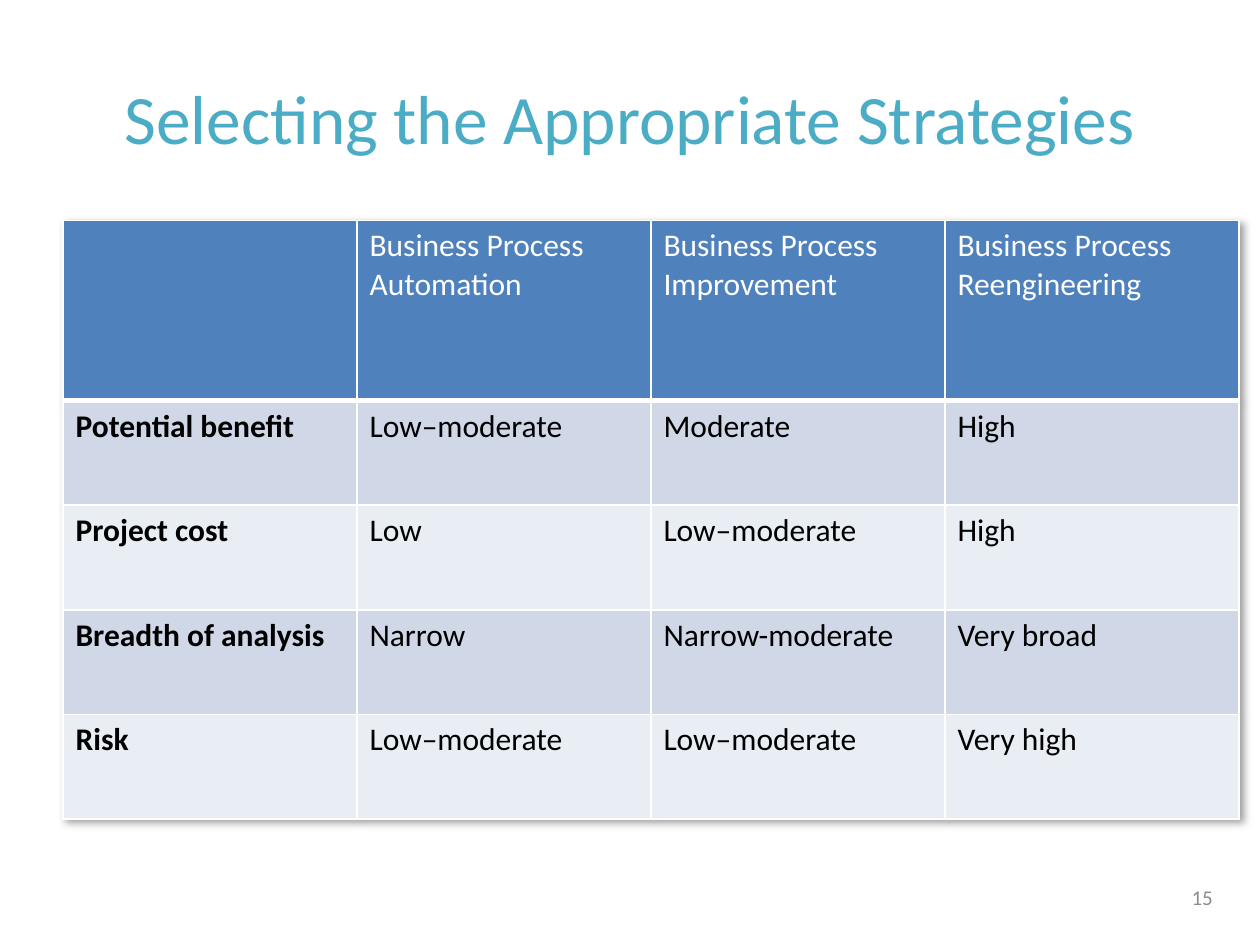
from dataclasses import dataclass

from lxml.etree import SubElement
from pptx import Presentation
from pptx.dml.color import RGBColor
from pptx.enum.text import MSO_ANCHOR, PP_ALIGN
from pptx.oxml import parse_xml
from pptx.oxml.ns import qn
from pptx.util import Pt

NS = "http://schemas.openxmlformats.org/drawingml/2006/main"
FONT = "Calibri"
WHITE, BLACK = "FFFFFF", "000000"
HEADER_FILL = "4F81BD"
BAND_FILLS = ("D0D8E8", "E9EDF4")
COL_WIDTH = Pt(168)
HEADER_HEIGHT, ROW_HEIGHT = Pt(103), Pt(59.75)
SHADOW = (
    f'<a:effectLst xmlns:a="{NS}"><a:outerShdw blurRad="50800" dist="38100" '
    'dir="2700000" algn="tl" rotWithShape="0"><a:srgbClr val="000000">'
    '<a:alpha val="40000"/></a:srgbClr></a:outerShdw></a:effectLst>'
)


@dataclass
class Row:
    label: str
    automation: str
    improvement: str
    reengineering: str

    def texts(self) -> tuple:
        return self.label, self.automation, self.improvement, self.reengineering


HEADER = Row("", "Business Process Automation", "Business Process Improvement",
             "Business Process Reengineering")
ROWS = [
    Row("Potential benefit", "Low–moderate", "Moderate", "High"),
    Row("Project cost", "Low", "Low–moderate", "High"),
    Row("Breadth of analysis", "Narrow", "Narrow-moderate", "Very broad"),
    Row("Risk", "Low–moderate", "Low–moderate", "Very high"),
]


def rgb(value: str) -> RGBColor:
    return RGBColor.from_string(value)


def write(tf, text: str, size: float, color: str, align=PP_ALIGN.LEFT, bold=False) -> None:
    p = tf.paragraphs[0]
    p.alignment = align
    r = p.add_run()
    r.text = text
    for name, value in {"name": FONT, "size": Pt(size), "bold": bold}.items():
        setattr(r.font, name, value)
    r.font.color.rgb = rgb(color)


def place(sp, left: float, top: float, width: float, height: float) -> None:
    box = {"left": left, "top": top, "width": width, "height": height}
    for name, value in box.items():
        setattr(sp, name, Pt(value))
    frame = {"word_wrap": True, "vertical_anchor": MSO_ANCHOR.MIDDLE}
    for name, value in frame.items():
        setattr(sp.text_frame, name, value)


def set_borders(cell, bottom: float) -> None:
    tc_pr = cell._tc.get_or_add_tcPr()
    widths = {"lnL": 1, "lnR": 1, "lnT": 1, "lnB": bottom}
    for i, (tag, width) in enumerate(widths.items()):
        ln = SubElement(tc_pr, qn(f"a:{tag}"), w=str(int(Pt(width))))
        SubElement(SubElement(ln, qn("a:solidFill")), qn("a:srgbClr"), val=WHITE)
        tc_pr.insert(i, ln)


def add_strategy_table(s) -> None:
    rows = [HEADER, *ROWS]
    height = HEADER_HEIGHT + len(ROWS) * ROW_HEIGHT
    table = s.shapes.add_table(len(rows), 4, Pt(36), Pt(126), 4 * COL_WIDTH, height).table
    table._tbl.tblPr.insert(0, parse_xml(SHADOW))
    for col in table.columns:
        col.width = COL_WIDTH
    for i, row in enumerate(rows):
        is_header = i == 0
        table.rows[i].height = HEADER_HEIGHT if is_header else ROW_HEIGHT
        fill = HEADER_FILL if is_header else BAND_FILLS[(i - 1) % 2]
        for j, text in enumerate(row.texts()):
            cell = table.cell(i, j)
            cell.fill.solid()
            cell.fill.fore_color.rgb = rgb(fill)
            set_borders(cell, 3 if is_header else 1)
            if text:
                write(cell.text_frame, text, 18, WHITE if is_header else BLACK,
                      bold=j == 0)


def main() -> None:
    prs = Presentation()
    prs.slide_width, prs.slide_height = Pt(720), Pt(540)
    s = prs.slides.add_slide(prs.slide_layouts[5])
    title = s.shapes.title
    place(title, 36, 21.6, 648, 90)
    write(title.text_frame, "Selecting the Appropriate Strategies", 39.6, "4BACC6",
          PP_ALIGN.CENTER)
    add_strategy_table(s)
    number = s.shapes.add_textbox(0, 0, 0, 0)
    place(number, 666, 498.5, 42, 28.75)
    write(number.text_frame, "15", 12, "8C8C8C", PP_ALIGN.CENTER)
    prs.save("out.pptx")


if __name__ == "__main__":
    main()
